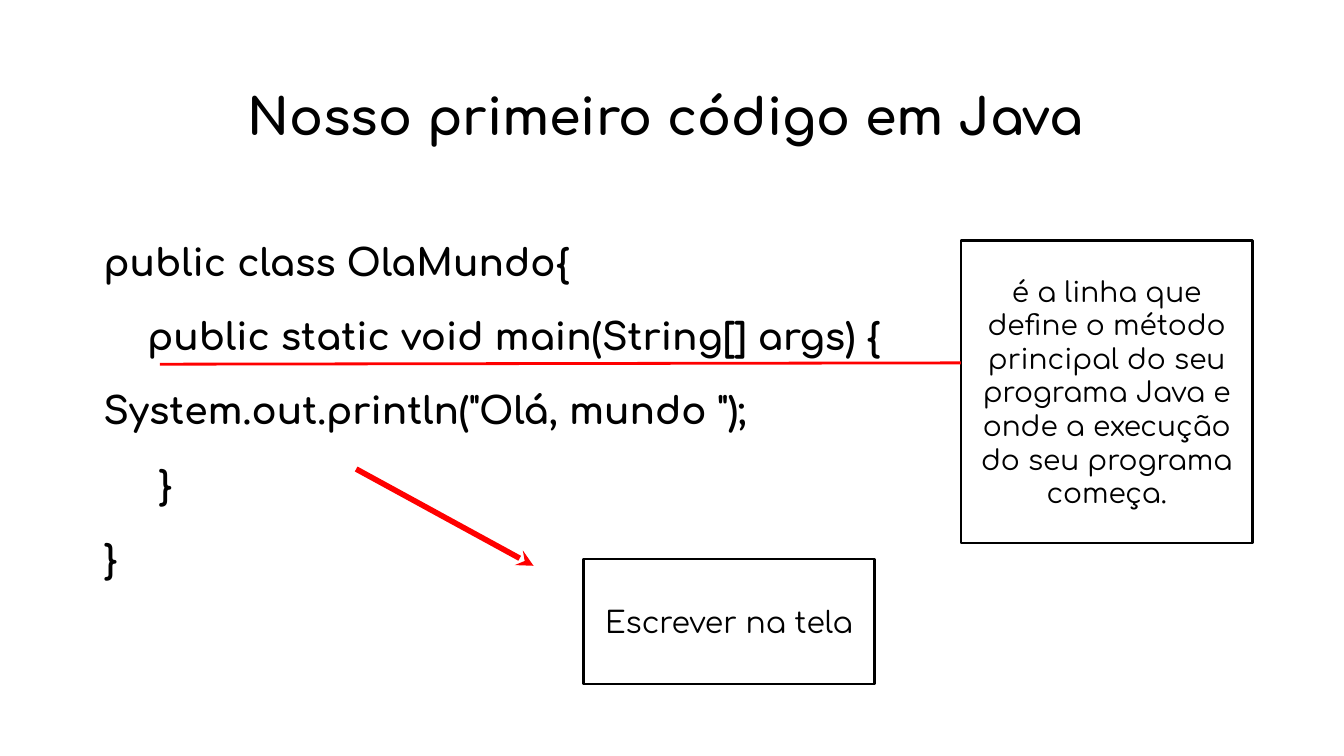
from dataclasses import dataclass

from lxml import etree
from pptx import Presentation
from pptx.dml.color import RGBColor
from pptx.enum.shapes import MSO_CONNECTOR, MSO_SHAPE
from pptx.enum.text import MSO_ANCHOR, PP_ALIGN
from pptx.oxml.ns import qn
from pptx.util import Inches, Pt

RECTANGLE = MSO_SHAPE.RECTANGLE
STRAIGHT = MSO_CONNECTOR.STRAIGHT
TOP, MIDDLE = MSO_ANCHOR.TOP, MSO_ANCHOR.MIDDLE
LEFT, CENTER = PP_ALIGN.LEFT, PP_ALIGN.CENTER


@dataclass(frozen=True)
class Theme:
    font: str = "Comfortaa"
    ink: RGBColor = RGBColor(0, 0, 0)
    accent: RGBColor = RGBColor(255, 0, 0)
    title: int = 27
    code: int = 20
    action_note: int = 16
    method_note: int = 15
    thin: float = 1.5
    thick: float = 3
    inset: float = 0.1


THEME = Theme()

TITLE = "Nosso primeiro código em Java"
CODE = [
    "public class OlaMundo{",
    "    public static void main(String[] args) {",
    'System.out.println("Olá, mundo ");',
    "     }",
    "}",
]
METHOD_NOTE = (
    "é a linha que define o método principal do seu programa Java "
    "e onde a execução do seu programa começa."
)
ACTION_NOTE = "Escrever na tela"


def apply_format(target, values):
    for name, value in values.items():
        setattr(target, name, value)


def write_lines(frame, lines, size, bold=False, align=CENTER, anchor=TOP, spacing=1.0, gap=0):
    inset = Inches(THEME.inset)
    apply_format(frame, {
        "word_wrap": True, "vertical_anchor": anchor,
        "margin_left": inset, "margin_right": inset,
        "margin_top": inset, "margin_bottom": inset,
    })
    for index, line in enumerate(lines):
        paragraph = frame.add_paragraph() if index else frame.paragraphs[0]
        apply_format(paragraph, {
            "alignment": align, "line_spacing": spacing,
            "space_before": Pt(gap if index else 0),
        })
        run = paragraph.add_run()
        run.text = line
        apply_format(run.font, {"name": THEME.font, "size": Pt(size), "bold": bold})
        run.font.color.rgb = THEME.ink


def add_title(slide, box):
    title = slide.shapes.add_textbox(*map(Inches, box))
    write_lines(title.text_frame, [TITLE], THEME.title, bold=True)


def add_code(slide, box):
    code = slide.shapes.add_textbox(*map(Inches, box))
    write_lines(code.text_frame, CODE, THEME.code, bold=True, align=LEFT, spacing=1.15, gap=12)


def add_note(slide, box, text, size):
    note = slide.shapes.add_shape(RECTANGLE, *map(Inches, box))
    note.shadow.inherit = False
    note.fill.background()
    note.line.color.rgb = THEME.ink
    note.line.width = Pt(THEME.thin)
    write_lines(note.text_frame, [text], size, anchor=MIDDLE)


def add_pointer(slide, start, end, width, arrow=False):
    pointer = slide.shapes.add_connector(STRAIGHT, *map(Inches, start + end))
    pointer.line.color.rgb = THEME.accent
    pointer.line.width = Pt(width)
    properties = pointer._element.spPr
    if arrow:
        etree.SubElement(properties.find(qn("a:ln")), qn("a:tailEnd"), type="stealth")
    etree.SubElement(properties, qn("a:effectLst"))


def main():
    deck = Presentation()
    deck.slide_width = Inches(10)
    deck.slide_height = deck.slide_width * 9 // 16
    slide = deck.slides.add_slide(deck.slide_layouts[6])

    note_width = 2.17
    method_left = 7.15
    add_code(slide, (0.67, 1.63, 8.65, 2.9))
    add_pointer(slide, (2.65, 3.49), (3.97, 4.21), THEME.thick, arrow=True)
    add_note(slide, (4.34, 4.16, note_width, 0.93), ACTION_NOTE, THEME.action_note)
    add_note(slide, (method_left, 1.79, note_width, 2.25), METHOD_NOTE, THEME.method_note)
    add_pointer(slide, (1.19, 2.71), (method_left, 2.7), THEME.thin)
    add_title(slide, (0.29, 0.53, 9.32, 0.63))

    deck.save("out.pptx")


if __name__ == "__main__":
    main()
